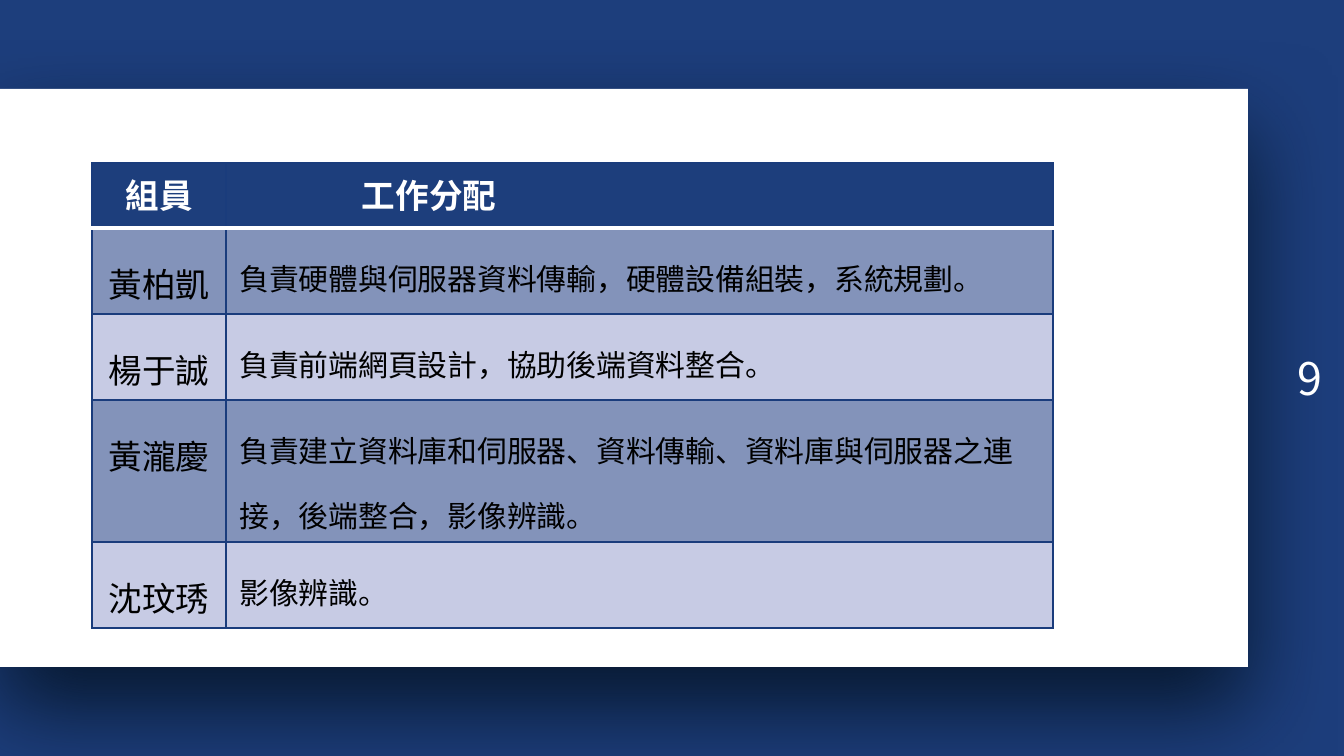
from lxml import etree
from pptx import Presentation
from pptx import util as u
from pptx.dml.color import RGBColor
from pptx.enum import shapes, text
from pptx.oxml import parse_xml
from pptx.oxml.ns import nsdecls, qn

NAVY = RGBColor(0x1D, 0x3E, 0x7C)
RULE = RGBColor(0x1A, 0x3C, 0x7C)
DARK_BAND = RGBColor(0x83, 0x93, 0xBA)
LIGHT_BAND = RGBColor(0xC7, 0xCB, 0xE4)
SHADE = RGBColor(0x01, 0x0E, 0x1B)
WHITE = RGBColor(0xFF, 0xFF, 0xFF)
BLACK = RGBColor(0x00, 0x00, 0x00)

HEADINGS = ("組員", "工作分配")
DUTIES = (
    ("黃柏凱", "負責硬體與伺服器資料傳輸，硬體設備組裝，系統規劃。"),
    ("楊于誠", "負責前端網頁設計，協助後端資料整合。"),
    ("黃瀧慶", "負責建立資料庫和伺服器、資料傳輸、資料庫與伺服器之連接，後端整合，影像辨識。"),
    ("沈玟琇", "影像辨識。"),
)


def px(length):
    """Turn pixels into EMU."""
    return u.Emu(round(length * 914400 / 134.4))


class Deck:
    """Holds the style and the current slide."""

    font = "Noto Sans CJK SC"

    def __init__(self, width, height):
        """Start a presentation with one navy slide."""
        self.file = Presentation()
        self.file.slide_width, self.file.slide_height = px(width), px(height)
        self.slide = self.file.slides.add_slide(self.file.slide_layouts[6])
        backdrop = self.slide.background.fill
        backdrop.solid()
        backdrop.fore_color.rgb = NAVY

    def set_words(self, frame, words, size, color, align, bold=False, spacing=1.0):
        """Set the words of a text frame and format them."""
        frame.text = words
        paragraph = frame.paragraphs[0]
        paragraph.alignment = align
        paragraph.line_spacing = spacing
        for run in paragraph.runs:
            run.font.name = self.font
            run.font.size = u.Pt(size)
            run.font.bold = bold
            run.font.color.rgb = color
            east_asian = etree.SubElement(run.font._element, qn("a:ea"))
            east_asian.set("typeface", self.font)

    def panel(self, left, top, width, height):
        """Draw the white panel with its soft shadow."""
        panel = self.slide.shapes.add_shape(
            shapes.MSO_SHAPE.RECTANGLE, px(left), px(top), px(width), px(height))
        panel.fill.solid()
        panel.fill.fore_color.rgb = WHITE
        panel.line.fill.background()
        panel._element.spPr.append(parse_xml(
            f'<a:effectLst {nsdecls("a")}><a:outerShdw blurRad="{u.Pt(50)}" '
            f'dist="{u.Pt(22.5)}" dir="5400000" algn="ctr" rotWithShape="0">'
            f'<a:srgbClr val="{SHADE}"><a:alpha val="80000"/></a:srgbClr>'
            '</a:outerShdw></a:effectLst>'))

    def page_number(self, number, left, top, width, height):
        """Place the page number, right-aligned and centred in height."""
        frame = self.slide.shapes.add_textbox(
            px(left), px(top), px(width), px(height)).text_frame
        frame.word_wrap = True
        frame.vertical_anchor = text.MSO_ANCHOR.MIDDLE
        frame.margin_left = frame.margin_right = 0
        frame.margin_top = frame.margin_bottom = 0
        self.set_words(frame, number, 24, WHITE, text.PP_ALIGN.RIGHT)

    def paint(self, cell, fill, borders):
        """Set the borders and the fill of a cell."""
        properties = cell._tc.get_or_add_tcPr()
        for side, (color, weight) in borders.items():
            properties.append(parse_xml(
                f'<a:ln{side} {nsdecls("a")} w="{u.Pt(weight)}"><a:solidFill>'
                f'<a:srgbClr val="{color}"/></a:solidFill></a:ln{side}>'))
        cell.fill.solid()
        cell.fill.fore_color.rgb = fill

    def duty_table(self, left, top, widths, heights):
        """Build the table of members and their duties."""
        table = self.slide.shapes.add_table(
            len(heights), len(widths), px(left), px(top),
            px(sum(widths)), px(sum(heights))).table
        table.first_row = table.horz_banding = False
        for column, width in zip(table.columns, widths):
            column.width = px(width)
        for row, height in zip(table.rows, heights):
            row.height = px(height)

        rule, divider = (RULE, 0.75), (WHITE, 2)
        aligns = (text.PP_ALIGN.CENTER, text.PP_ALIGN.LEFT)
        for c, heading in enumerate(HEADINGS):
            cell = table.cell(0, c)
            self.paint(cell, NAVY, {"L": rule, "R": rule, "T": rule, "B": divider})
            self.set_words(cell.text_frame, heading, 18, WHITE, aligns[c], bold=True)
        table.cell(0, 1).margin_left = px(136)

        for r, duty in enumerate(DUTIES, start=1):
            for c, words in enumerate(duty):
                cell = table.cell(r, c)
                self.paint(cell, DARK_BAND if r % 2 else LIGHT_BAND, {
                    "L": rule, "R": rule,
                    "T": divider if r == 1 else rule, "B": rule})
                self.set_words(cell.text_frame, words, (18, 16)[c], BLACK,
                               aligns[c], spacing=1.5)


def main():
    """Build and save the slide."""
    deck = Deck(1344, 756)
    deck.panel(0, 89, 1248, 578)
    deck.page_number("9", 1242, 0, 80, 756)
    deck.duty_table(92, 163, (134, 827), (65, 86, 86, 142, 86))
    deck.file.save("out.pptx")


if __name__ == "__main__":
    main()
